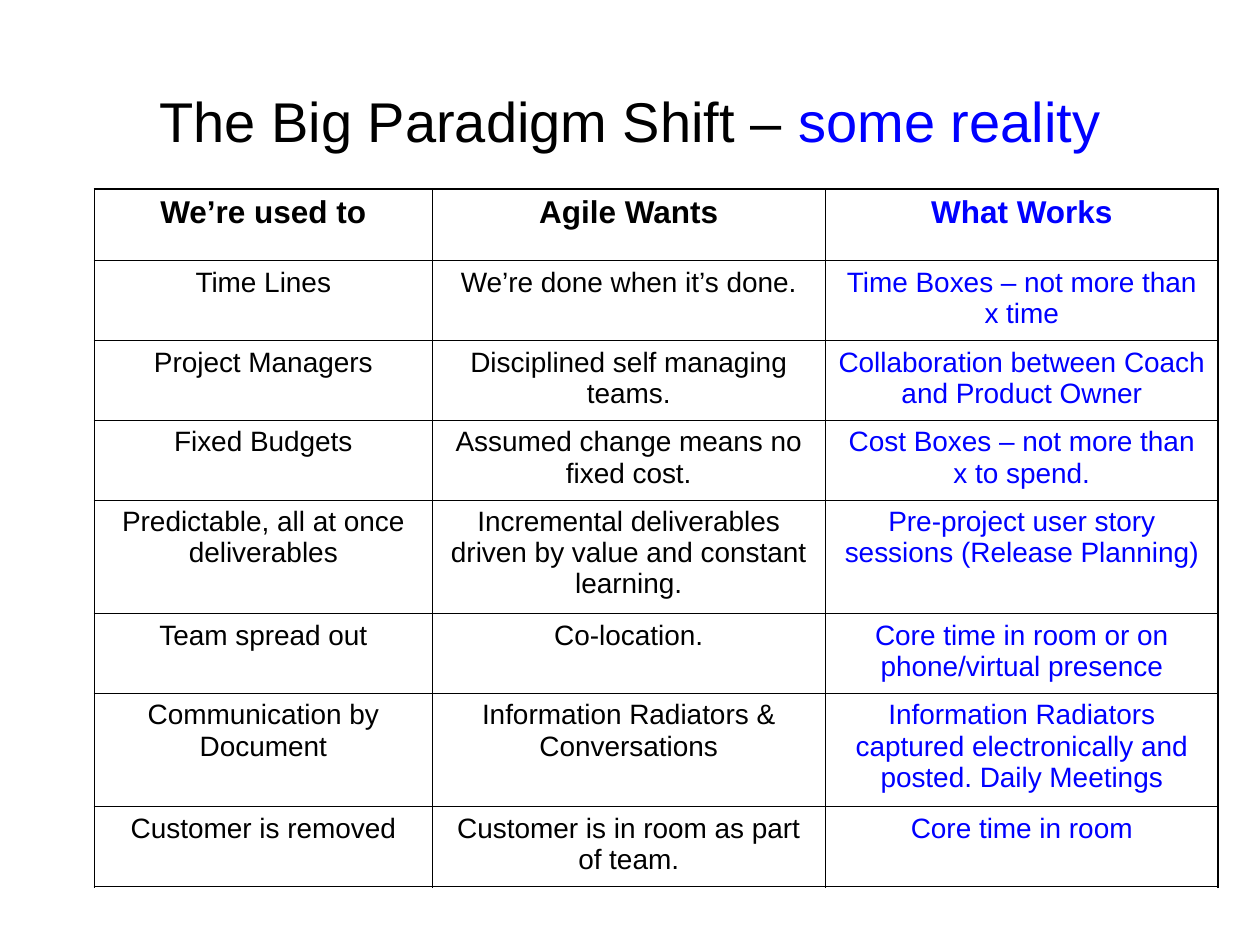
from dataclasses import dataclass

from lxml.etree import SubElement as Sub
from pptx import Presentation
from pptx.dml.color import RGBColor as RGB
from pptx.enum.text import MSO_ANCHOR as Anchor, PP_ALIGN as Align
from pptx.oxml.ns import qn
from pptx.util import Inches, Pt


@dataclass(frozen=True)
class Theme:
    font: str = "Arial"
    ink: str = "000000"
    accent: str = "0000FF"
    title_size: float = 32
    header_size: float = 18
    body_size: float = 16
    outer_line: float = 1.08
    inner_line: float = 0.45


THEME = Theme()
SLIDE_W, SLIDE_H = 10, 7.5

TITLE = [("The Big Paradigm Shift – ", THEME.ink), ("some reality", THEME.accent)]
COLUMN_COLORS = [THEME.ink, THEME.ink, THEME.accent]
SHIFTS = [
    ("We’re used to", "Agile Wants", "What Works"),
    ("Time Lines", "We’re done when it’s done.", "Time Boxes – not more than x time"),
    ("Project Managers", "Disciplined self managing teams.",
     "Collaboration between Coach and Product Owner"),
    ("Fixed Budgets", "Assumed change means no fixed cost.",
     "Cost Boxes – not more than x to spend."),
    ("Predictable, all at once deliverables",
     "Incremental deliverables driven by value and constant learning.",
     "Pre-project user story sessions (Release Planning)"),
    ("Team spread out", "Co-location.", "Core time in room or on phone/virtual presence"),
    ("Communication by Document", "Information Radiators & Conversations",
     "Information Radiators captured electronically and posted. Daily Meetings"),
    ("Customer is removed", "Customer is in room as part of team.", "Core time in room"),
]

MARGIN = 0.075 * SLIDE_W
TABLE_TOP = 0.2 * SLIDE_H
COLUMN_WIDTHS = [2.68, 3.12, 3.12]
HEADER_HEIGHT, TWO_LINES, THREE_LINES = 0.57, 0.63, 0.9
LONG_TEXT = 60


def row_height(index, texts):
    if index == 0:
        return HEADER_HEIGHT
    return THREE_LINES if max(map(len, texts)) > LONG_TEXT else TWO_LINES


def write(paragraph, text, *, size, color, bold=False, before=0):
    paragraph.alignment = Align.CENTER
    paragraph.space_before = Pt(before)
    run = paragraph.add_run()
    run.text = text
    run.font.name = THEME.font
    run.font.size = Pt(size)
    run.font.bold = bold
    run.font.color.rgb = RGB.from_string(color)


def draw_borders(cell, outer_sides):
    properties = cell._tc.get_or_add_tcPr()
    for side, is_outer in outer_sides.items():
        width = THEME.outer_line if is_outer else THEME.inner_line
        border = Sub(properties, qn(f"a:ln{side}"), w=str(Pt(width)))
        fill = Sub(border, qn("a:solidFill"))
        Sub(fill, qn("a:srgbClr"), val=THEME.ink)


def add_title(slide):
    heading = slide.shapes.add_textbox(
        Inches(MARGIN), Inches(0.33), Inches(SLIDE_W - 2 * MARGIN), Inches(1.25))
    frame = heading.text_frame
    frame.word_wrap = True
    frame.vertical_anchor = Anchor.MIDDLE
    for text, color in TITLE:
        write(frame.paragraphs[0], text, size=THEME.title_size, color=color)


def add_shift_table(slide):
    heights = [row_height(index, texts) for index, texts in enumerate(SHIFTS)]
    last_row, last_column = len(heights) - 1, len(COLUMN_WIDTHS) - 1
    table = slide.shapes.add_table(
        len(heights), len(COLUMN_WIDTHS), Inches(MARGIN), Inches(TABLE_TOP),
        Inches(sum(COLUMN_WIDTHS)), Inches(sum(heights))).table
    table.first_row = table.horz_banding = False
    for column, width in zip(table.columns, COLUMN_WIDTHS):
        column.width = Inches(width)
    for r, (texts, height) in enumerate(zip(SHIFTS, heights)):
        table.rows[r].height = Inches(height)
        is_header = r == 0
        size = THEME.header_size if is_header else THEME.body_size
        for c, (text, color) in enumerate(zip(texts, COLUMN_COLORS)):
            cell = table.cell(r, c)
            draw_borders(cell, {"L": c == 0, "R": c == last_column,
                                "T": is_header, "B": r == last_row})
            cell.fill.background()
            write(cell.text_frame.paragraphs[0], text, size=size, color=color,
                  bold=is_header, before=size / 4)


def main():
    deck = Presentation()
    deck.slide_width, deck.slide_height = Inches(SLIDE_W), Inches(SLIDE_H)
    slide = deck.slides.add_slide(deck.slide_layouts[6])
    add_title(slide)
    add_shift_table(slide)
    deck.save("out.pptx")


if __name__ == "__main__":
    main()
